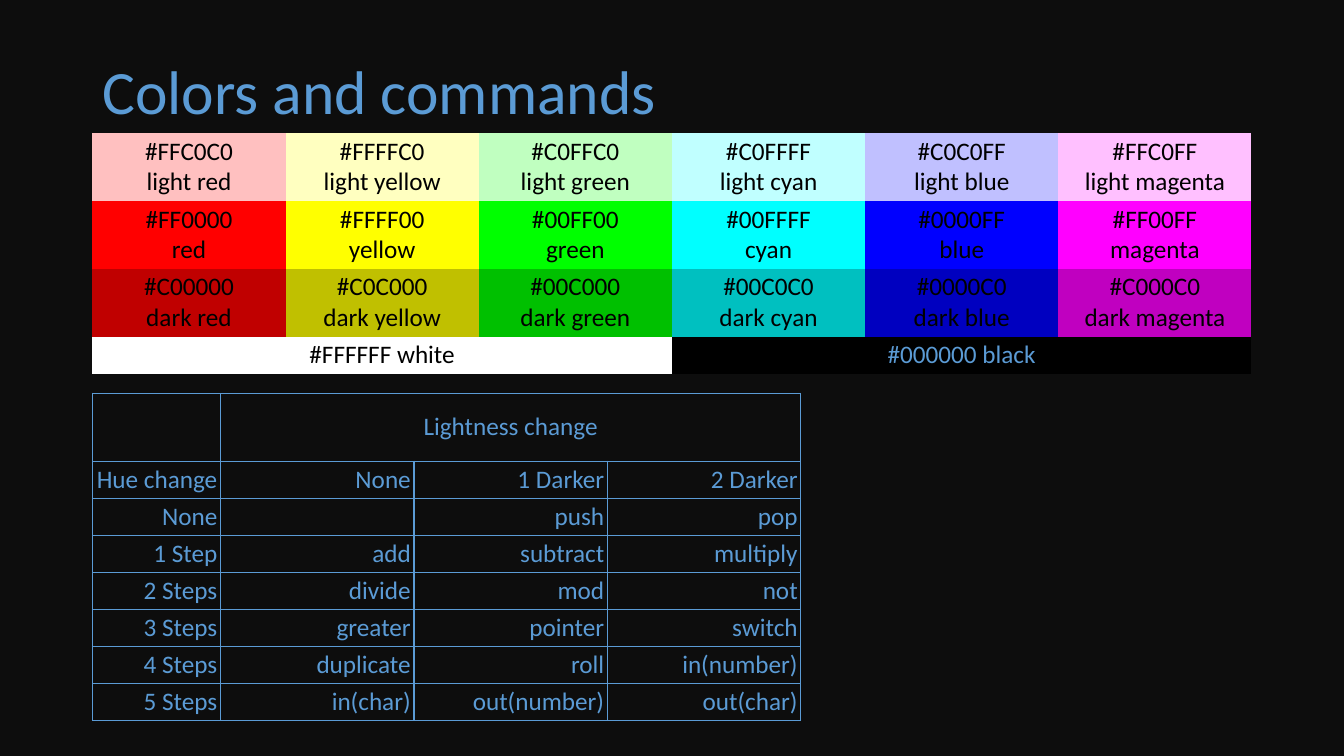
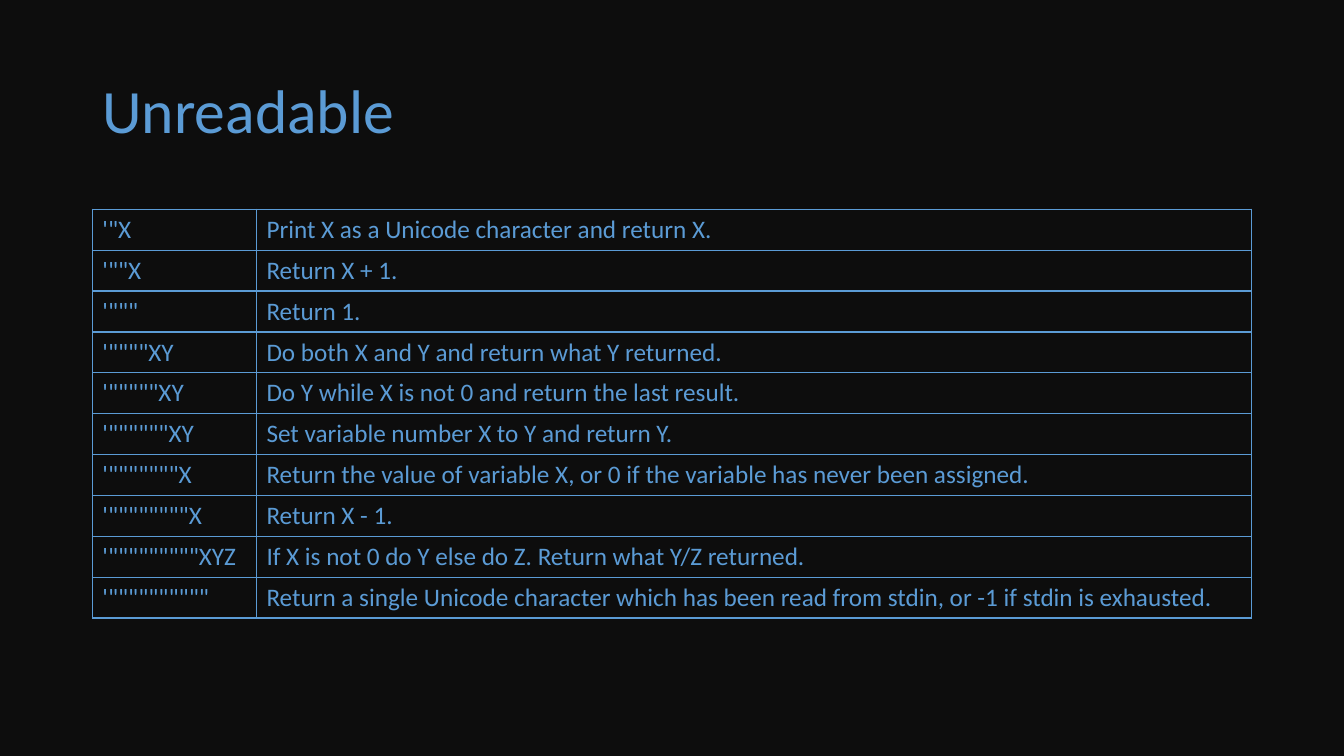
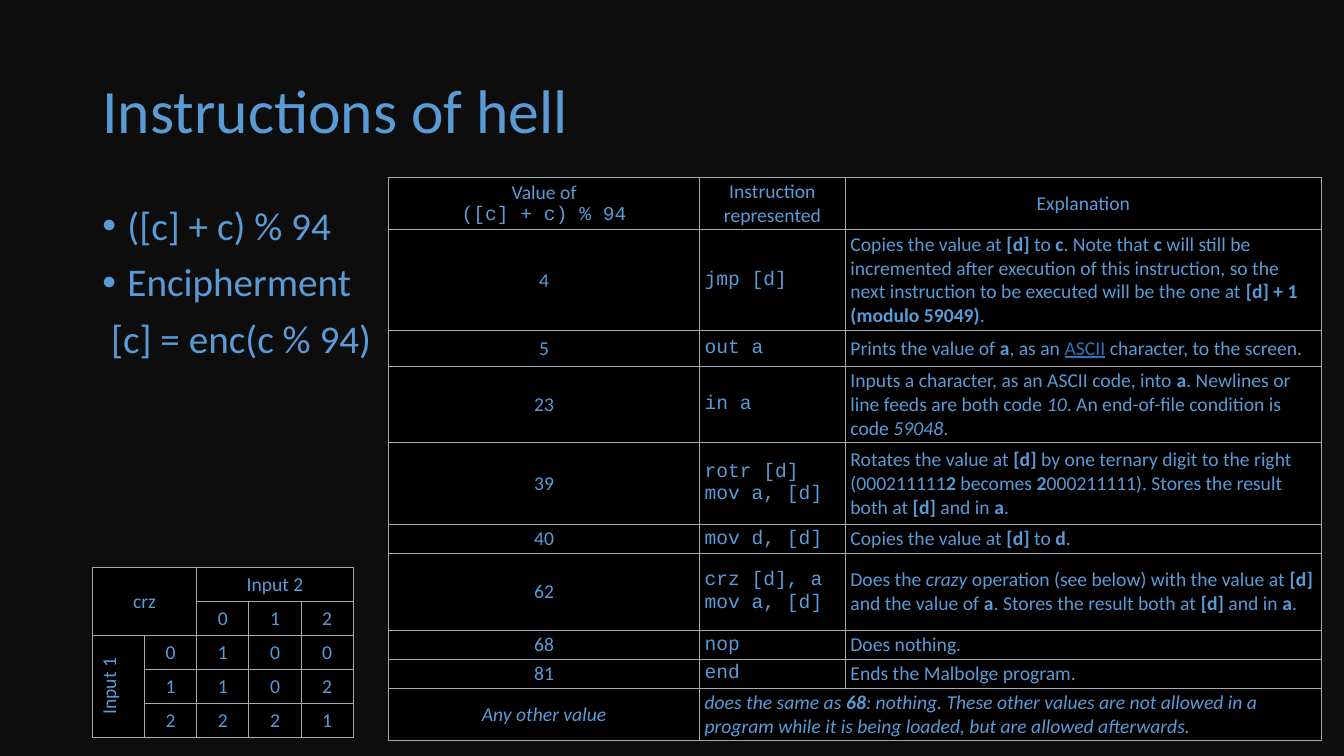
from dataclasses import dataclass
from typing import Callable, Iterator, NamedTuple, Optional

from lxml.etree import SubElement
from pptx import Presentation
from pptx.dml.color import RGBColor
from pptx.enum.text import MSO_ANCHOR, PP_ALIGN
from pptx.oxml import parse_xml
from pptx.oxml.ns import nsdecls, qn
from pptx.util import Pt


@dataclass(frozen=True)
class Theme:
    back: str = "0D0D0D"
    blue: str = "5B9BD5"
    link: str = "2E75B5"
    gray: str = "A2A9B1"
    black: str = "000000"
    font: str = "Calibri"
    mono: str = "Courier New"
    head: float = 44
    body: float = 28
    cell: float = 18
    small: float = 14
    left: float = 66
    wide: float = 828


THEME = Theme()
LEFT, MID, RIGHT = PP_ALIGN.LEFT, PP_ALIGN.CENTER, PP_ALIGN.RIGHT
MARKS = "*_`~"
PLAIN = "{2D5ABB26-0587-4C30-8999-92F81FD0307C}"


class Span(NamedTuple):
    row: int
    col: int
    down: int
    over: int
    vert: bool = False


class Edge(NamedTuple):
    color: str
    width: float


@dataclass(frozen=True)
class Grid:
    left: float
    top: float
    cols: list[float]
    rows: list[float]
    cells: list[list[str]]
    align: list[PP_ALIGN]
    size: float = THEME.cell
    pad: tuple[float, float] = (7.2, 3.6)
    head: Optional[PP_ALIGN] = None
    edge: Optional[Edge] = None
    fill: Callable[[str], Optional[str]] = lambda text: None
    ink: Callable[[str], str] = lambda text: THEME.blue
    spans: tuple[Span, ...] = ()


def split(text: str) -> Iterator[tuple[str, frozenset[str]]]:
    live: frozenset[str] = frozenset()
    part = ""
    for char in text:
        if char in MARKS or char == "\n":
            if part:
                yield part, live
            part = ""
            if char == "\n":
                yield char, live
            else:
                live = live ^ {char}
        else:
            part += char
    if part:
        yield part, live


def write(par, text: str, size: float, ink: str) -> None:
    for part, marks in split(text):
        if part == "\n":
            par.add_line_break()
            continue
        run = par.add_run()
        run.text = part
        font = run.font
        font.size = Pt(size)
        font.name = THEME.mono if "`" in marks else THEME.font
        font.bold = "*" in marks
        font.italic = "_" in marks
        font.underline = "~" in marks
        font.color.rgb = RGBColor.from_string(THEME.link if "~" in marks else ink)


def rule(cell, edge: Edge) -> None:
    props = cell._tc.get_or_add_tcPr()
    for spot, side in enumerate(("lnL", "lnR", "lnT", "lnB")):
        props.insert(spot, parse_xml(
            f'<a:{side} {nsdecls("a")} w="{Pt(edge.width)}"><a:solidFill>'
            f'<a:srgbClr val="{edge.color}"/></a:solidFill></a:{side}>'))


def style(cell, grid: Grid, text: str, align: PP_ALIGN) -> None:
    cell.margin_left = cell.margin_right = Pt(grid.pad[0])
    cell.margin_top = cell.margin_bottom = Pt(grid.pad[1])
    cell.vertical_anchor = MSO_ANCHOR.MIDDLE
    fill = grid.fill(text)
    if fill:
        cell.fill.solid()
        cell.fill.fore_color.rgb = RGBColor.from_string(fill)
    else:
        cell.fill.background()
    if grid.edge:
        rule(cell, grid.edge)
    par = cell.text_frame.paragraphs[0]
    par.alignment = align
    write(par, text, grid.size, grid.ink(text))


def draw(slide, grid: Grid) -> None:
    frame = slide.shapes.add_table(
        len(grid.rows), len(grid.cols), Pt(grid.left), Pt(grid.top),
        Pt(sum(grid.cols)), Pt(sum(grid.rows)))
    table = frame.table
    table.first_row = table.horz_banding = False
    table._tbl.tblPr.find(qn("a:tableStyleId")).text = PLAIN
    for col, width in zip(table.columns, grid.cols):
        col.width = Pt(width)
    for row, height in zip(table.rows, grid.rows):
        row.height = Pt(height)
    for y, line in enumerate(grid.cells):
        for x, text in enumerate(line):
            align = grid.head if grid.head and y == 0 else grid.align[x]
            style(table.cell(y, x), grid, text, align)
    for span in grid.spans:
        first = table.cell(span.row, span.col)
        first.merge(table.cell(span.row + span.down - 1, span.col + span.over - 1))
        if span.vert:
            first._tc.get_or_add_tcPr().set("vert", "vert270")


def start(deck, text: str, height: float = 104.4):
    slide = deck.slides.add_slide(deck.slide_layouts[5])
    title = slide.shapes.title
    title.left, title.top = Pt(THEME.left), Pt(28.8)
    title.width, title.height = Pt(THEME.wide), Pt(height)
    title.text_frame.vertical_anchor = MSO_ANCHOR.MIDDLE
    par = title.text_frame.paragraphs[0]
    par.alignment = LEFT
    par.line_spacing = 0.9
    write(par, text, THEME.head, THEME.blue)
    return slide


def points(slide, lines: list[tuple[str, bool]]) -> None:
    box = slide.shapes.add_textbox(Pt(THEME.left), Pt(144), Pt(THEME.wide), Pt(342.7))
    frame = box.text_frame
    frame.word_wrap = True
    for place, (text, dot) in enumerate(lines):
        par = frame.add_paragraph() if place else frame.paragraphs[0]
        par.line_spacing = 0.9
        par.space_before = Pt(10)
        props = par._p.get_or_add_pPr()
        props.set("marL", str(Pt(18 if dot else 6.3)))
        props.set("indent", str(Pt(-18 if dot else 0)))
        if dot:
            SubElement(props, qn("a:buFont"), typeface="Arial")
            SubElement(props, qn("a:buChar"), char="•")
        write(par, text, THEME.body, THEME.blue)


def shades() -> list[list[str]]:
    hues = {"red": "100", "yellow": "110", "green": "010",
            "cyan": "011", "blue": "001", "magenta": "101"}
    tones = {"light ": ("C0", "FF"), "": ("00", "FF"), "dark ": ("00", "C0")}
    return [["#" + "".join(pair[int(bit)] for bit in bits) + f"\n{tone}{hue}"
             for hue, bits in hues.items()] for tone, pair in tones.items()]


def colors(deck) -> None:
    slide = start(deck, "Colors and commands", 77.8)
    tight = (2.25, 2.25)
    draw(slide, Grid(
        THEME.left, 281, [91.5] + [138.2] * 3, [48.5] + [26.5] * 7,
        [["", "Lightness change", "", ""],
         ["Hue change", "None", "1 Darker", "2 Darker"],
         ["None", "", "push", "pop"],
         ["1 Step", "add", "subtract", "multiply"],
         ["2 Steps", "divide", "mod", "not"],
         ["3 Steps", "greater", "pointer", "switch"],
         ["4 Steps", "duplicate", "roll", "in(number)"],
         ["5 Steps", "in(char)", "out(number)", "out(char)"]],
        [RIGHT] * 4, pad=tight, head=MID, edge=Edge(THEME.blue, 1),
        spans=(Span(0, 1, 1, 3),)))
    ends = ["#FFFFFF white", "", "", "#000000 black", "", ""]
    draw(slide, Grid(
        THEME.left, 95, [THEME.wide / 6] * 6, [48.5] * 3 + [26.5],
        shades() + [ends], [MID] * 6, pad=tight,
        fill=lambda text: text[1:7] or None,
        ink=lambda text: THEME.blue if text[1:7] == THEME.black else THEME.black,
        spans=(Span(3, 0, 1, 3), Span(3, 3, 1, 3))))


def quotes(deck) -> None:
    slide = start(deck, "Unreadable")
    facts = [
        ("X", "Print X as a Unicode character and return X."),
        ("X", "Return X + 1."),
        ("", "Return 1."),
        ("XY", "Do both X and Y and return what Y returned."),
        ("XY", "Do Y while X is not 0 and return the last result."),
        ("XY", "Set variable number X to Y and return Y."),
        ("X", "Return the value of variable X, or 0 if the variable has never been assigned."),
        ("X", "Return X - 1."),
        ("XYZ", "If X is not 0 do Y else do Z. Return what Y/Z returned."),
        ("", "Return a single Unicode character which has been read from stdin, "
             "or -1 if stdin is exhausted."),
    ]
    draw(slide, Grid(
        THEME.left, 149.5, [117.2, 710.8], [29.2] * len(facts),
        [["'" + '"' * count + tail, text]
         for count, (tail, text) in enumerate(facts, 1)],
        [LEFT] * 2, edge=Edge(THEME.blue, 1)))


def hell(deck) -> None:
    slide = start(deck, "Instructions of hell")
    points(slide, [("([c] + c) % 94", True), ("Encipherment", True),
                   ("[c] = enc(c % 94)", False)])
    edge = Edge(THEME.gray, 0.75)
    draw(slide, Grid(
        277.7, 126.7, [222, 104.2, 340],
        [37.5, 72, 25.5, 54.5, 58.5, 20.7, 54.9, 20.7, 20.7, 37.5],
        [["Value of\n`([c] + c) % 94`", "Instruction\nrepresented", "Explanation"],
         ["4", "`jmp [d]`",
          "Copies the value at *[d]* to *c*. Note that *c* will still be incremented "
          "after execution of this instruction, so the next instruction to be executed "
          "will be the one at *[d] + 1 (modulo 59049)*."],
         ["5", "`out a`",
          "Prints the value of *a*, as an ~ASCII~ character, to the screen."],
         ["23", "`in a`",
          "Inputs a character, as an ASCII code, into *a*. Newlines or line feeds are "
          "both code _10_. An end-of-file condition is code _59048_."],
         ["39", "`rotr [d]\nmov a, [d]`",
          "Rotates the value at *[d]* by one ternary digit to the right "
          "(000211111*2* becomes *2*000211111). Stores the result both at "
          "*[d]* and in *a*."],
         ["40", "`mov d, [d]`", "Copies the value at *[d]* to *d*."],
         ["62", "`crz [d], a\nmov a, [d]`",
          "Does the _crazy_ operation (see below) with the value at *[d]* and the "
          "value of *a*. Stores the result both at *[d]* and in *a*."],
         ["68", "`nop`", "Does nothing."],
         ["81", "`end`", "Ends the Malbolge program."],
         ["_Any other value_",
          "_does the same as *68*: nothing. These other values are not allowed in a "
          "program while it is being loaded, but are allowed afterwards._", ""]],
        [MID, LEFT, LEFT], size=THEME.small, pad=(3.6, 1.8), head=MID, edge=edge,
        fill=lambda text: THEME.black, spans=(Span(9, 1, 1, 2),)))
    draw(slide, Grid(
        THEME.left, 405.2, [37.3] * 5, [24.3] * 5,
        [["crz", "", "Input 2", "", ""],
         ["", "", "0", "1", "2"],
         ["Input 1", "0", "1", "0", "0"],
         ["", "1", "1", "0", "2"],
         ["", "2", "2", "2", "1"]],
        [MID] * 5, size=THEME.small, edge=edge, fill=lambda text: THEME.black,
        spans=(Span(0, 0, 2, 2), Span(0, 2, 1, 3), Span(2, 0, 3, 1, True))))


def main() -> None:
    deck = Presentation()
    deck.slide_width, deck.slide_height = Pt(960), Pt(540)
    back = deck.slide_master.background.fill
    back.solid()
    back.fore_color.rgb = RGBColor.from_string(THEME.back)
    for build in (colors, quotes, hell):
        build(deck)
    deck.save("out.pptx")


if __name__ == "__main__":
    main()
